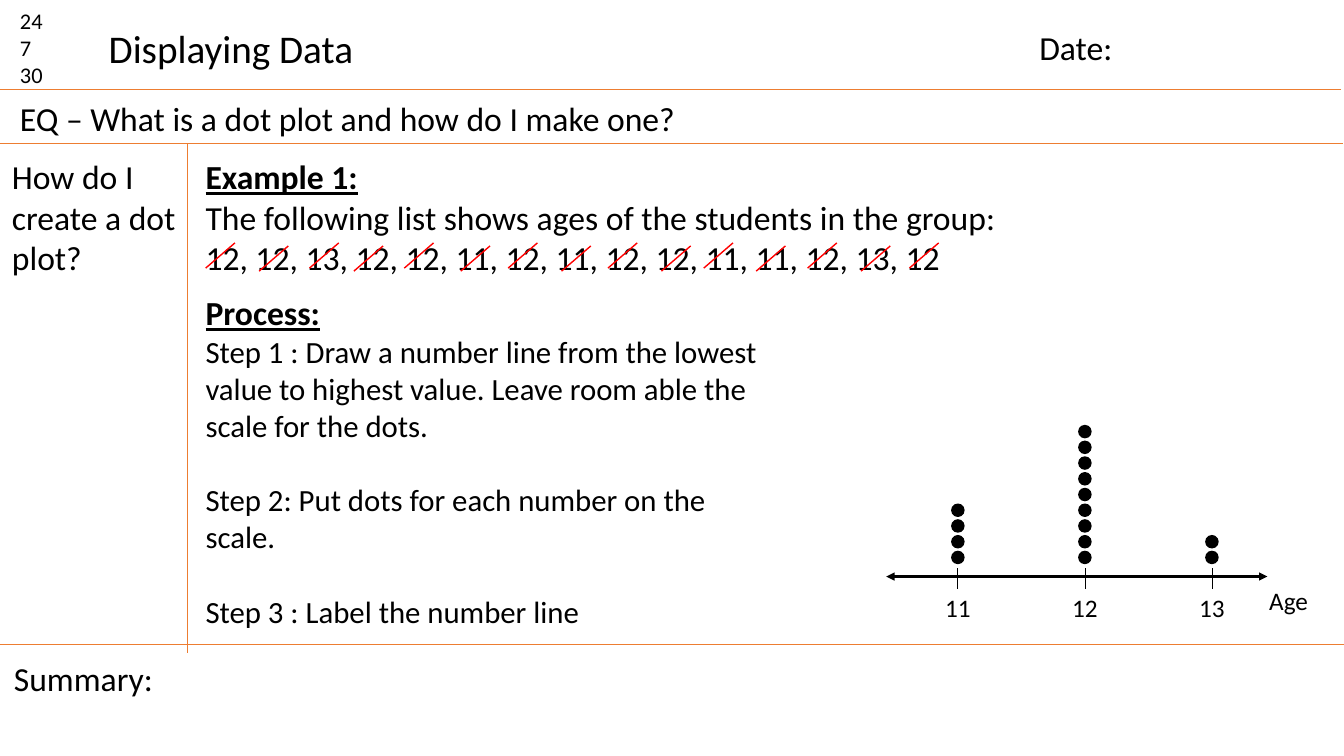
from collections import Counter
from dataclasses import dataclass

from lxml import etree
from pptx import Presentation
from pptx.dml.color import RGBColor
from pptx.enum.shapes import MSO_CONNECTOR, MSO_SHAPE
from pptx.enum.text import MSO_AUTO_SIZE, PP_ALIGN
from pptx.oxml.ns import qn
from pptx.util import Inches, Pt

STRAIGHT = MSO_CONNECTOR.STRAIGHT
OVAL = MSO_SHAPE.OVAL
LEFT = PP_ALIGN.LEFT
CENTER = PP_ALIGN.CENTER
GROW = MSO_AUTO_SIZE.SHAPE_TO_FIT_TEXT


@dataclass(frozen=True)
class Theme:
    """Colours, font and type sizes of the slide."""
    font: str = "Calibri"
    ink: RGBColor = RGBColor(0, 0, 0)
    rule: RGBColor = RGBColor(0xED, 0x7D, 0x31)
    strike: RGBColor = RGBColor(0xFF, 0, 0)
    title: int = 28
    body: int = 24
    step: int = 22
    label: int = 18
    small: int = 16


THEME = Theme()
AGES = [12, 12, 13, 12, 12, 11, 12, 11, 12, 12, 11, 11, 12, 13, 12]
STRIKE_LEFTS = [2.04, 2.57, 3.07, 3.51, 4.01, 4.57, 5.04, 5.57,
                6.03, 6.56, 6.98, 7.5, 8.01, 8.54, 9.02]
STEPS = [
    "Step 1 : Draw a number line from the lowest value to highest value. "
    "Leave room able the scale for the dots.",
    "Step 2: Put dots for each number on the scale.",
    "Step 3 : Label the number line",
]
RULES = [(-0.03, 0.89, 13.3, 0.89), (-0.01, 1.42, 13.32, 1.42),
         (1.86, 1.42, 1.86, 6.48), (0, 6.39, 13.33, 6.39)]
FIRST_TICK, TICK_GAP = 9.5, 1.26
DOT_SIZE, DOT_GAP, LOWEST_DOT = 0.12, 0.156, 5.47


def add_text(page, place, lines, size, align=LEFT, wrap=True):
    """Add a text box with one paragraph per line and return its paragraphs."""
    box = page.shapes.add_textbox(*map(Inches, place))
    frame = box.text_frame
    frame.word_wrap = wrap
    frame.auto_size = GROW
    frame.text = "\n".join(lines)
    for para in frame.paragraphs:
        para.alignment = align
        para.font.name = THEME.font
        para.font.size = Pt(size)
        para.font.color.rgb = THEME.ink
    return frame.paragraphs


def style_heading(para):
    """Make a paragraph a bold, underlined heading."""
    para.font.size = Pt(THEME.body)
    para.font.bold = True
    para.font.underline = True


def add_line(page, ends, color, width, arrows=False):
    """Add a straight line, with arrowheads at both ends on request."""
    line = page.shapes.add_connector(STRAIGHT, *map(Inches, ends))
    line.line.color.rgb = color
    line.line.width = Pt(width)
    if arrows:
        outline = line.line._get_or_add_ln()
        for end in ("a:headEnd", "a:tailEnd"):
            etree.SubElement(outline, qn(end), type="triangle")
    etree.SubElement(line._element.spPr, qn("a:effectLst"))


def add_dot(page, center, top):
    """Add one data dot centred on a tick."""
    dot = page.shapes.add_shape(OVAL, Inches(center - DOT_SIZE / 2), Inches(top),
                                Inches(DOT_SIZE), Inches(DOT_SIZE))
    dot.shadow.inherit = False
    dot.fill.solid()
    dot.fill.fore_color.rgb = THEME.ink
    dot.line.color.rgb = THEME.ink
    dot.line.width = Pt(1)


def add_notes_frame(page):
    """Add the ruled note page with its title, question and summary."""
    for ends in RULES:
        add_line(page, ends, THEME.rule, 0.5)
    add_text(page, (0.1, 0.02, 0.63, 0.91), ["24", "7", "30"], THEME.small)
    add_text(page, (0.98, 0.19, 2.65, 0.57), ["Displaying Data"], THEME.title, wrap=False)
    add_text(page, (10.21, 0.22, 2.36, 0.5), ["Date:"], THEME.body)
    add_text(page, (0.1, 0.92, 11.6, 0.5),
             ["EQ – What is a dot plot and how do I make one?"], THEME.body)
    add_text(page, (0.02, 1.5, 1.88, 1.31), ["How do I create a dot plot?"], THEME.body)
    add_text(page, (0.04, 6.48, 1.67, 0.5), ["Summary:"], THEME.body, wrap=False)


def add_example(page):
    """Add the list of ages with every value struck through."""
    lines = ["Example 1:",
             "The following list shows ages of the students in the group:",
             ", ".join(map(str, AGES))]
    style_heading(add_text(page, (1.94, 1.5, 10.44, 1.31), lines, THEME.body)[0])
    for index, left in enumerate(STRIKE_LEFTS):
        bottom = 2.66 + 0.03 * (index % 2)
        add_line(page, (left, bottom, left + 0.29, bottom - 0.25), THEME.strike, 1)


def add_process(page):
    """Add the numbered steps, set one line apart."""
    heading, _, *later_steps = add_text(page, (1.94, 2.85, 5.82, 3.47),
                                        ["Process:", *STEPS], THEME.step)
    style_heading(heading)
    for para in later_steps:
        para.space_before = Pt(27)


def add_dot_plot(page):
    """Add the number line and a stack of dots for each age."""
    add_line(page, (8.79, 5.72, 12.57, 5.72), THEME.ink, 1.5, arrows=True)
    for index, (age, count) in enumerate(sorted(Counter(AGES).items())):
        center = FIRST_TICK + index * TICK_GAP
        add_line(page, (center, 5.64, center, 5.84), THEME.ink, 0.5)
        add_text(page, (center - 0.35, 5.83, 0.7, 0.4), [str(age)], THEME.label, CENTER)
        for level in range(count):
            add_dot(page, center, LOWEST_DOT - level * DOT_GAP)
    add_text(page, (12.49, 5.76, 0.74, 0.4), ["Age"], THEME.label)


def main():
    """Build the slide and save it."""
    deck = Presentation()
    deck.slide_width = Inches(13.33)
    deck.slide_height = Inches(7.5)
    page = deck.slides.add_slide(deck.slide_layouts[6])
    add_notes_frame(page)
    add_example(page)
    add_process(page)
    add_dot_plot(page)
    deck.save("out.pptx")


if __name__ == "__main__":
    main()
